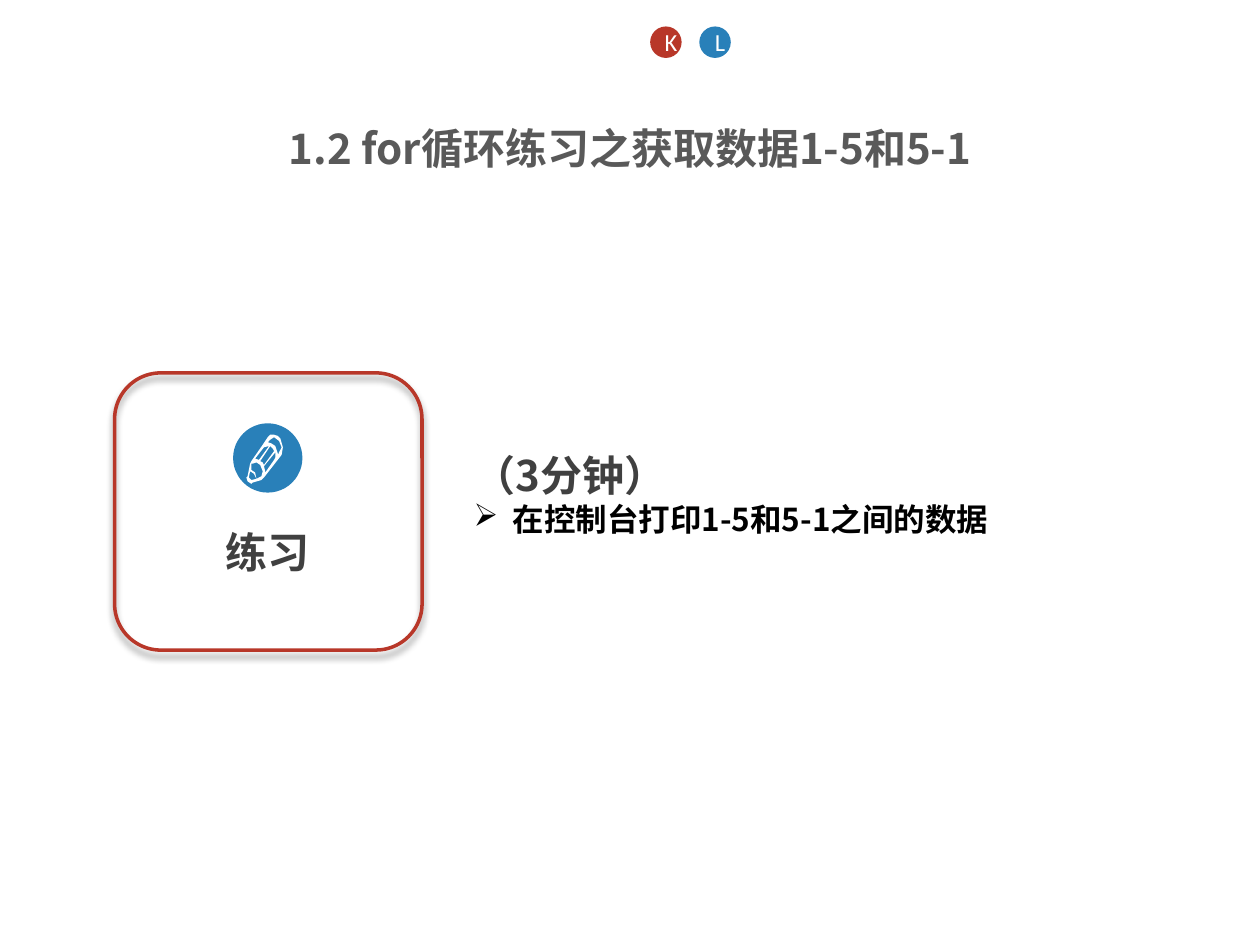
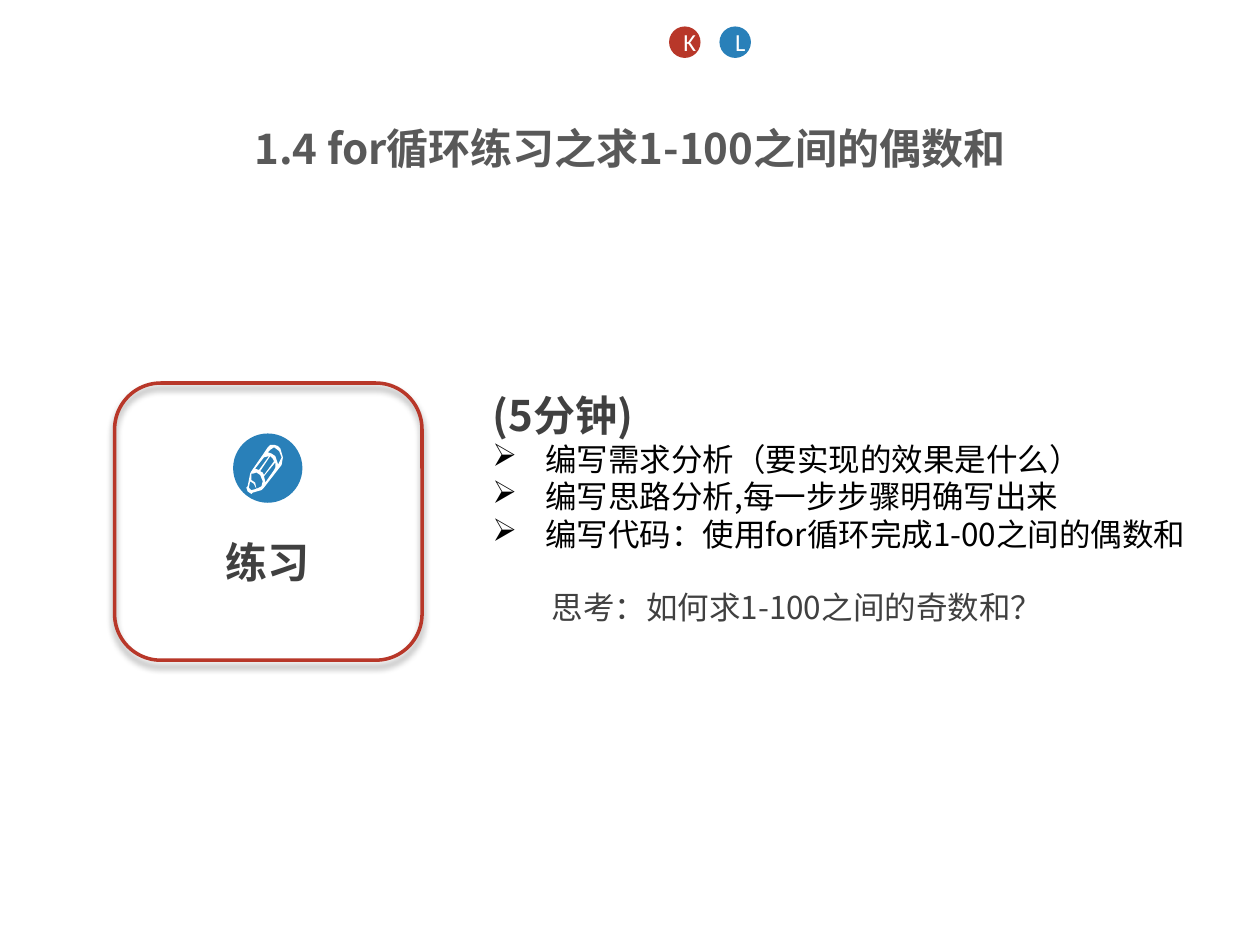
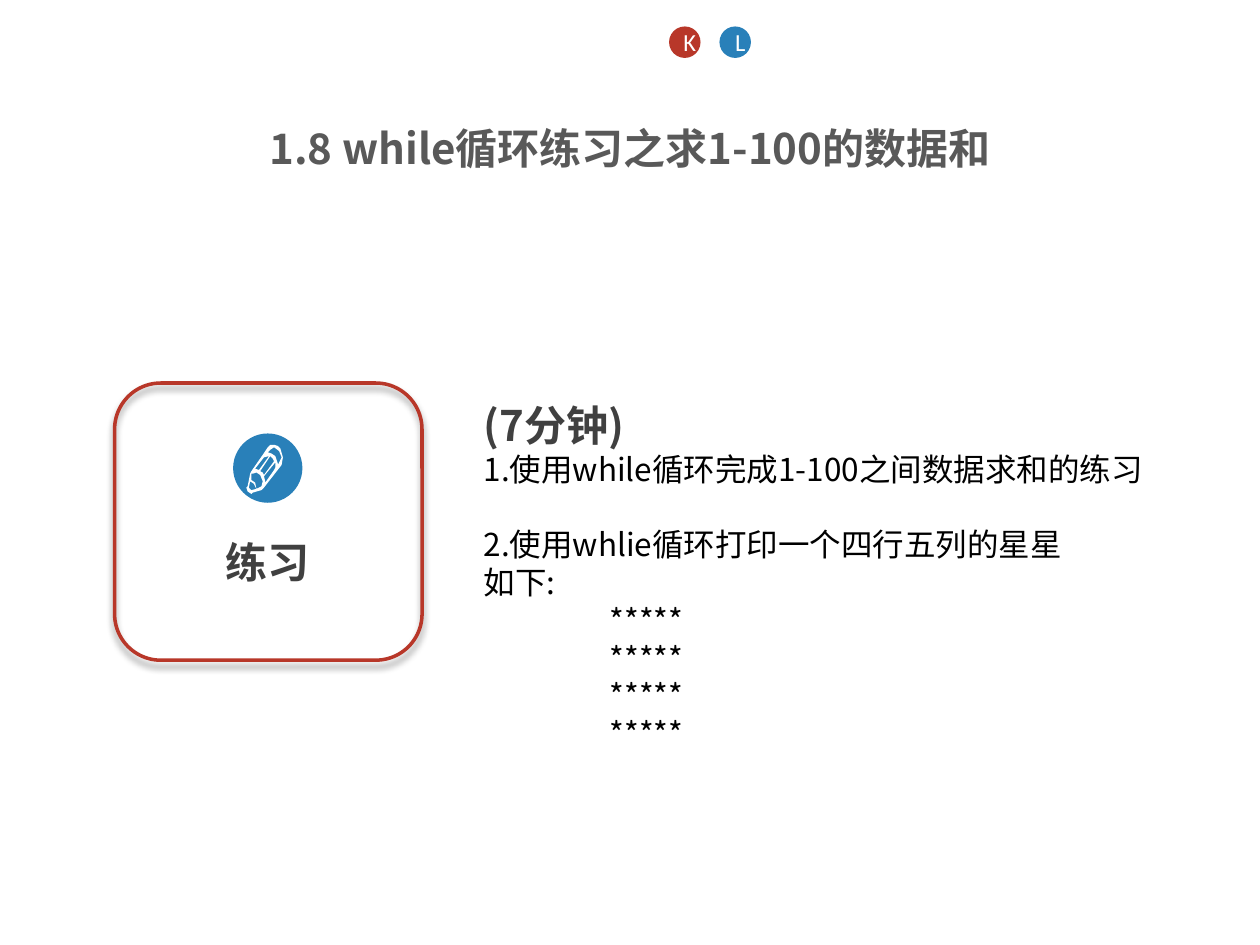
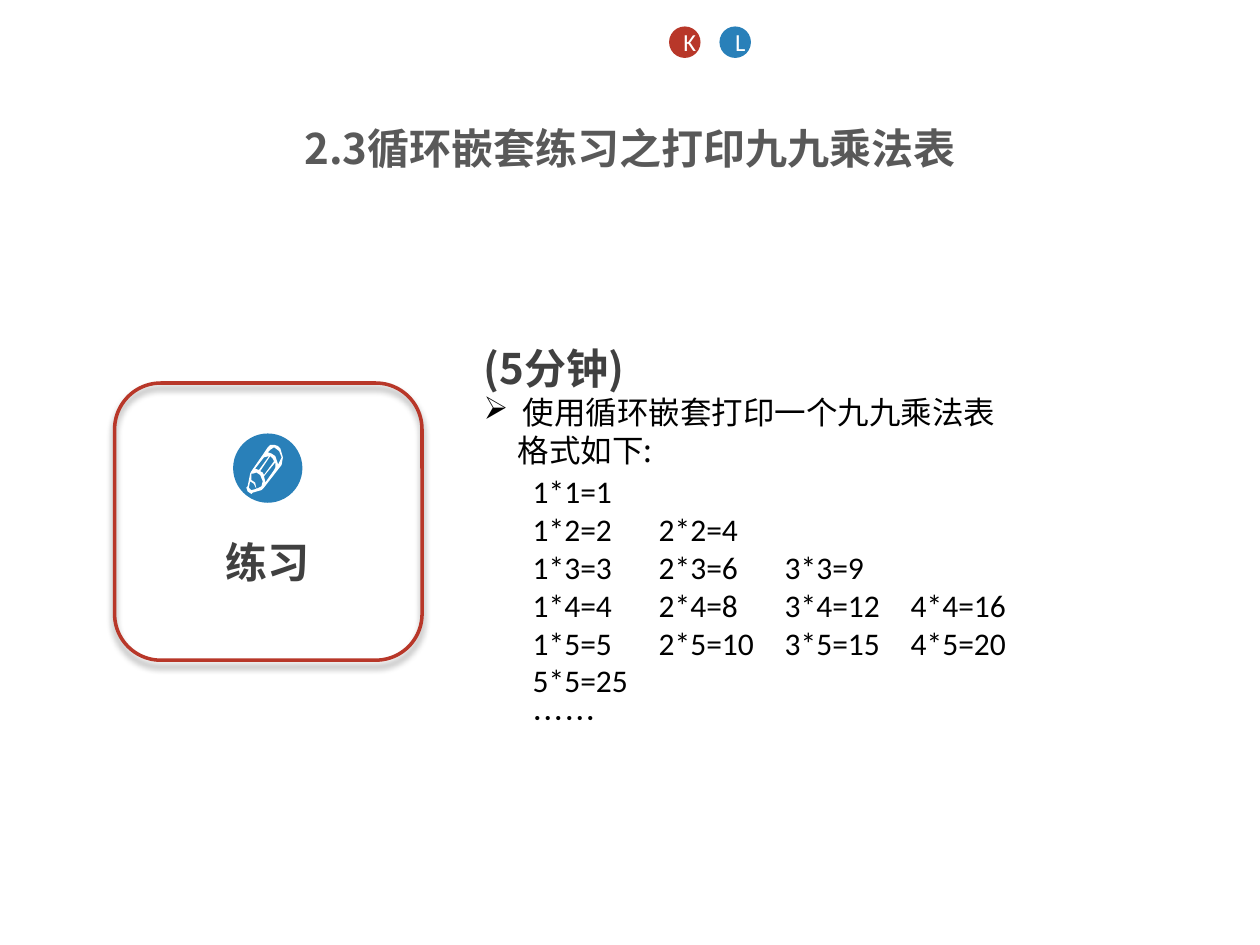
"""Build four loop-exercise slides that share a title, badges and a practice card."""
from dataclasses import dataclass

import lxml.etree
import pptx
import pptx.dml.color
import pptx.enum.shapes
import pptx.enum.text
import pptx.oxml.ns
import pptx.shapes.autoshape
import pptx.slide
import pptx.text.text
import pptx.util

COLUMNS, ROWS = 100, 75
SLIDE_WIDTH, SLIDE_HEIGHT = pptx.util.Inches(10), pptx.util.Inches(7.5)
COLORS = {
    "red": "B83729",
    "blue": "2980B9",
    "title": "595959",
    "heading": "404040",
    "body": "000000",
    "white": "FFFFFF",
}
CHINESE, LATIN = "Noto Sans CJK SC", "Calibri"
HEADING_SIZE, BODY_SIZE, BADGE_SIZE = 24, 18, 14
LINE_FACTOR = 1.2
TITLE_ONLY_LAYOUT = 5
PENCIL_UNIT = pptx.util.Inches(0.01)
PENCIL_CONTOURS = [
    [(27, 3), (25, 1), (22, 0), (19, 0.5), (17, 2), (13, 8), (4, 21), (3, 23), (1, 33),
     (0, 34), (1, 37), (4, 39), (5, 38), (12, 36), (14, 34), (28, 16), (29, 10)],
    [(26, 14), (25, 16), (25, 15), (23, 9), (20, 7), (17, 6), (19, 4), (22, 2), (26, 5), (28, 10)],
    [(8, 35), (7, 30), (4, 28), (4, 23), (5, 23), (8, 22), (11, 24), (13, 29), (12, 33)],
    [(4, 36), (2, 34), (3, 29), (6, 31), (8, 35)],
    [(10, 20), (7, 19), (14, 10), (18, 9)],
    [(14, 24), (13, 22), (11, 21), (19, 9), (21, 11), (22, 13)],
    [(15, 29), (14, 25), (23, 14), (23, 18), (22, 20), (15, 30)],
]


@dataclass(frozen=True)
class Box:
    """A rectangle in grid columns and rows."""

    column: float
    row: float
    columns: float
    rows: float

    def lengths(self) -> tuple[int, int, int, int]:
        """Return left, top, width and height as slide lengths."""
        return (across(self.column), down(self.row), across(self.columns), down(self.rows))


@dataclass(frozen=True)
class Line:
    """One paragraph and its format."""

    text: str
    size: int = BODY_SIZE
    color: str = "body"
    bold: bool = False
    font: str = CHINESE
    centered: bool = False
    bullet: bool = False
    indent: float = 0
    space_before: float = 0
    line_factor: float = LINE_FACTOR
    tabs: tuple[float, ...] = ()


@dataclass(frozen=True)
class TextBlock:
    """A text box and its paragraphs."""

    box: Box
    lines: list[Line]


@dataclass(frozen=True)
class Exercise:
    """The content of one exercise slide."""

    title: str
    blocks: list[TextBlock]
    badge_columns: tuple[float, float] = (53.1, 57.1)
    card_row: float = 30.4


def across(columns: float) -> int:
    """Convert grid columns to a length."""
    return round(SLIDE_WIDTH * columns / COLUMNS)


def down(rows: float) -> int:
    """Convert grid rows to a length."""
    return round(SLIDE_HEIGHT * rows / ROWS)


def rgb(name: str) -> pptx.dml.color.RGBColor:
    """Look up a colour of the deck."""
    return pptx.dml.color.RGBColor.from_string(COLORS[name])


def add_element(parent: lxml.etree._Element, tag: str, **attributes: object) -> lxml.etree._Element:
    """Append a drawing element with its attributes."""
    values = {name: str(value) for name, value in attributes.items()}
    return lxml.etree.SubElement(parent, pptx.oxml.ns.qn(tag), values)


def fill_paragraph(paragraph: pptx.text.text._Paragraph, line: Line) -> None:
    """Format a paragraph and add its run."""
    properties = paragraph._p.get_or_add_pPr()
    properties.set("marL", str(across(line.indent)))
    properties.set("indent", str(-across(line.indent) if line.bullet else 0))
    if line.bullet:
        add_element(properties, "a:buChar", char="➢")
    else:
        add_element(properties, "a:buNone")
    if line.tabs:
        tab_list = add_element(properties, "a:tabLst")
        for tab in line.tabs:
            add_element(tab_list, "a:tab", pos=across(tab), algn="l")
    alignment = pptx.enum.text.PP_ALIGN
    paragraph.alignment = alignment.CENTER if line.centered else alignment.LEFT
    paragraph.line_spacing = pptx.util.Pt(line.size * line.line_factor)
    paragraph.space_before = pptx.util.Pt(line.space_before)
    run = paragraph.add_run()
    run.text = line.text
    run.font.size = pptx.util.Pt(line.size)
    run.font.bold = line.bold
    run.font.color.rgb = rgb(line.color)
    run.font.name = line.font
    add_element(run._r.get_or_add_rPr(), "a:ea", typeface=CHINESE)


def fill_frame(frame: pptx.text.text.TextFrame, lines: list[Line]) -> None:
    """Write the lines into a wrapping text frame."""
    frame.word_wrap = True
    frame.auto_size = pptx.enum.text.MSO_AUTO_SIZE.NONE
    frame.vertical_anchor = pptx.enum.text.MSO_ANCHOR.TOP
    for index, line in enumerate(lines):
        fill_paragraph(frame.add_paragraph() if index else frame.paragraphs[0], line)


def add_text(shapes, block: TextBlock) -> None:
    """Add a text box to a slide or a group."""
    fill_frame(shapes.add_textbox(*block.box.lengths()).text_frame, block.lines)


def add_disc(shapes, box: Box, color: str) -> pptx.shapes.autoshape.Shape:
    """Add a plain filled circle."""
    disc = shapes.add_shape(pptx.enum.shapes.MSO_SHAPE.OVAL, *box.lengths())
    disc.shadow.inherit = False
    disc.fill.solid()
    disc.fill.fore_color.rgb = rgb(color)
    disc.line.fill.background()
    return disc


def add_badge(slide: pptx.slide.Slide, column: float, letter: str, color: str) -> None:
    """Add a lettered circle at the top of the slide."""
    frame = add_disc(slide.shapes, Box(column, 2.1, 2.5, 2.5), color).text_frame
    fill_frame(frame, [Line(letter, BADGE_SIZE, "white", font=LATIN, centered=True)])
    frame.word_wrap = False
    frame.vertical_anchor = pptx.enum.text.MSO_ANCHOR.MIDDLE
    frame.margin_left = across(0.8)
    frame.margin_right = frame.margin_top = frame.margin_bottom = 0


def add_pencil(shapes, column: float, row: float) -> None:
    """Draw the white pencil as one outline with holes."""
    outline, *holes = PENCIL_CONTOURS
    builder = shapes.build_freeform(*outline[0], scale=PENCIL_UNIT)
    builder.add_line_segments(outline[1:], close=True)
    for hole in holes:
        builder.move_to(*hole[0])
        builder.add_line_segments(hole[1:], close=True)
    pencil = builder.convert_to_shape(across(column), down(row))
    pencil.shadow.inherit = False
    pencil.fill.solid()
    pencil.fill.fore_color.rgb = rgb("white")
    pencil.line.fill.background()


def add_frame(shapes, box: Box) -> None:
    """Add the rounded red frame with its soft shadow."""
    frame = shapes.add_shape(pptx.enum.shapes.MSO_SHAPE.ROUNDED_RECTANGLE, *box.lengths())
    frame.fill.background()
    frame.line.color.rgb = rgb("red")
    frame.line.width = pptx.util.Pt(2)
    frame.shadow.inherit = False
    effects = frame._element.spPr.find(pptx.oxml.ns.qn("a:effectLst"))
    shadow = add_element(effects, "a:outerShdw", blurRad=pptx.util.Pt(4), dist=pptx.util.Pt(3),
                         dir=90 * 60000, rotWithShape=0)
    color = add_element(shadow, "a:srgbClr", val=COLORS["body"])
    add_element(color, "a:alpha", val=40000)


def add_practice_card(slide: pptx.slide.Slide, row: float) -> None:
    """Add the grouped practice card with its top at the given row."""
    shapes = slide.shapes.add_group_shape().shapes
    label = Line("练习", HEADING_SIZE, "heading", True, line_factor=0.9 * LINE_FACTOR)
    add_text(shapes, TextBlock(Box(16.9, row + 12.1, 8.7, 4.5), [label]))
    add_disc(shapes, Box(18.5, row + 4, 5.5, 5.5), "blue")
    add_pencil(shapes, 19.55, row + 4.9)
    add_frame(shapes, Box(9.1, row, 24.4, 22))


def add_exercise(presentation: pptx.presentation.Presentation, exercise: Exercise) -> None:
    """Add one exercise slide."""
    slide = presentation.slides.add_slide(presentation.slide_layouts[TITLE_ONLY_LAYOUT])
    title = slide.shapes.title
    title.left, title.top, title.width, title.height = Box(0, 9.2, COLUMNS, 4.7).lengths()
    fill_frame(title.text_frame, [Line(exercise.title, HEADING_SIZE, "title", True, centered=True)])
    for column, letter, color in zip(exercise.badge_columns, "KL", ("red", "blue")):
        add_badge(slide, column, letter, color)
    add_practice_card(slide, exercise.card_row)
    for block in exercise.blocks:
        add_text(slide.shapes, block)


def heading(text: str) -> Line:
    """Make the bold line that states the time allowed."""
    return Line(text, HEADING_SIZE, "heading", True)


def times_table(count: int) -> list[Line]:
    """Make the first rows of the multiplication table."""
    rows = ["\t".join(f"{factor}*{row}={factor * row}" for factor in range(1, row + 1))
            for row in range(1, count + 1)]
    return [Line(row, font=LATIN, tabs=(7.3, 15.3, 24, 32.8)) for row in rows]


EXERCISES = [
    Exercise(
        "1.2 for循环练习之获取数据1-5和5-1",
        [TextBlock(Box(36.6, 35.2, 55.1, 12.1), [
            heading("（3分钟）"),
            Line("在控制台打印1-5和5-1之间的数据", bold=True, bullet=True, indent=3.1),
        ])],
        badge_columns=(51.6, 55.5),
        card_row=29.6,
    ),
    Exercise(
        "1.4 for循环练习之求1-100之间的偶数和",
        [
            TextBlock(Box(38.1, 30.4, 61.9, 14.1), [heading("(5分钟)")] + [
                Line(step, bullet=True, indent=4.2) for step in (
                    "编写需求分析（要实现的效果是什么）",
                    "编写思路分析,每一步步骤明确写出来",
                    "编写代码：使用for循环完成1-00之间的偶数和",
                )
            ]),
            TextBlock(Box(42.8, 46.2, 41.8, 7.1),
                      [Line("思考：如何求1-100之间的奇数和？", color="heading")]),
        ],
    ),
    Exercise(
        "1.8 while循环练习之求1-100的数据和",
        [TextBlock(Box(37.4, 31.2, 58.3, 35.3), [
            heading("(7分钟)"),
            Line("1.使用while循环完成1-100之间数据求和的练习"),
            Line("2.使用whlie循环打印一个四行五列的星星", space_before=BODY_SIZE * LINE_FACTOR),
            Line("如下:"),
        ] + [Line("*****", indent=10)] * 4)],
    ),
    Exercise(
        "2.3循环嵌套练习之打印九九乘法表",
        [
            TextBlock(Box(37.4, 26.7, 62.6, 14.1), [
                heading("(5分钟)"),
                Line("使用循环嵌套打印一个九九乘法表", bullet=True, indent=3.1),
                Line("格式如下:", indent=2.7),
            ]),
            TextBlock(Box(41.3, 37, 43, 19.2), times_table(5) + [Line("……")]),
        ],
    ),
]


def main() -> None:
    """Build and save the deck."""
    presentation = pptx.Presentation()
    presentation.slide_width, presentation.slide_height = SLIDE_WIDTH, SLIDE_HEIGHT
    for exercise in EXERCISES:
        add_exercise(presentation, exercise)
    presentation.save("out.pptx")


if __name__ == "__main__":
    main()
